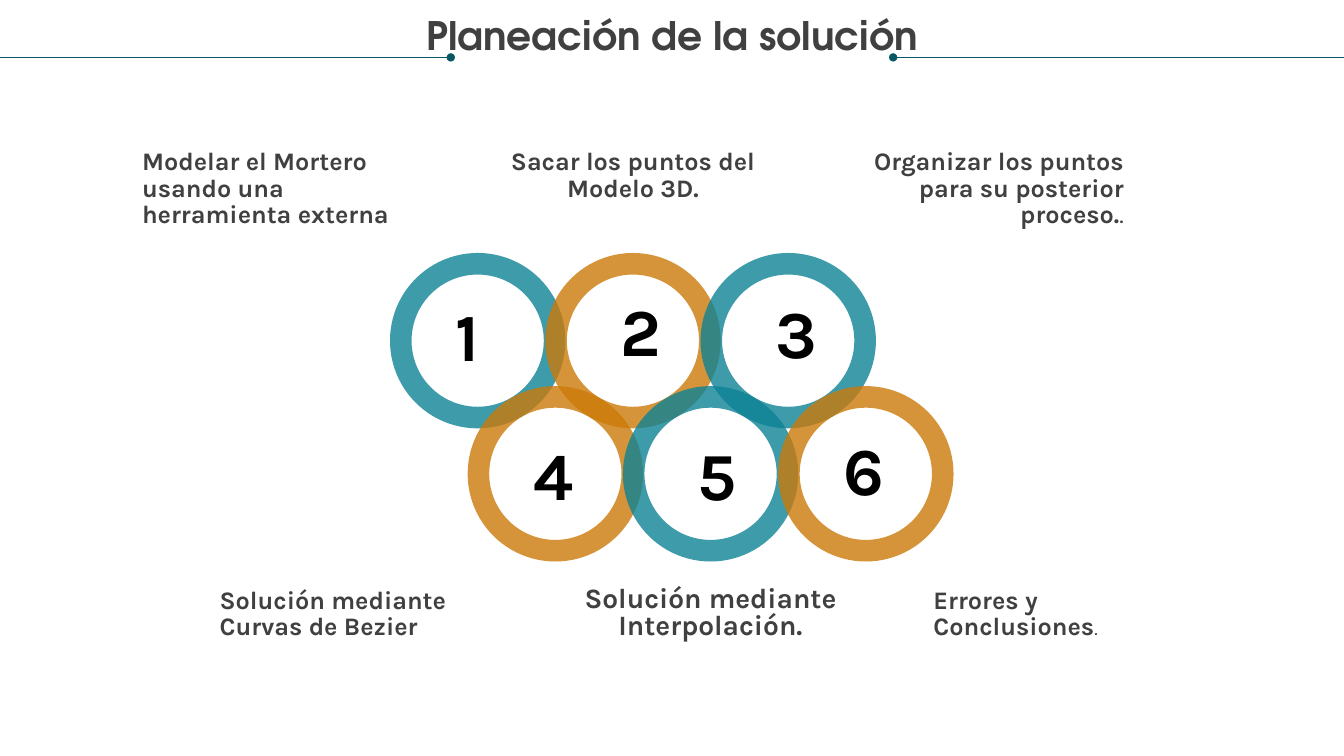
import pptx
import pptx.util
import pptx.dml.color
import pptx.enum.shapes
import pptx.enum.text
import pptx.oxml
import pptx.oxml.ns

Pt = pptx.util.Pt
ALIGN = pptx.enum.text.PP_ALIGN
LEFT, CENTER, RIGHT = ALIGN.LEFT, ALIGN.CENTER, ALIGN.RIGHT
WIDTH, HEIGHT = 960, 540
TEAL, ORANGE, LINE, GREY, BLACK = "0D8295", "CB7A09", "085764", "404040", "000000"
RING_SIZE, RING_PITCH = 125.3, 110.9
LABEL_WIDTH, LABEL_PITCH = 191.5, 254.9
ROW_SHIFT = RING_PITCH / 2


def rgb(color):
    return pptx.dml.color.RGBColor.from_string(color)


def add_element(parent, tag, **attributes):
    child = pptx.oxml.parse_xml(f"<a:{tag} {pptx.oxml.ns.nsdecls('a')}/>")
    for name, value in attributes.items():
        child.set(name, value)
    parent.append(child)


def add_text(slide, box, runs, font="Karla", color=GREY, align=LEFT,
             spacing=None, inset=True, wrap=True):
    """Place one paragraph; each run is (text, size, bold)."""
    tf = slide.shapes.add_textbox(*map(Pt, box)).text_frame
    tf.word_wrap = wrap
    tf.auto_size = pptx.enum.text.MSO_AUTO_SIZE.SHAPE_TO_FIT_TEXT
    if not inset:
        tf.margin_left = tf.margin_right = tf.margin_top = tf.margin_bottom = 0
    p = tf.paragraphs[0]
    p.alignment = align
    p.line_spacing = spacing
    for text, size, bold in runs:
        r = p.add_run()
        r.text = text
        r.font.name = font
        r.font.size = Pt(size)
        r.font.bold = bold
        r.font.color.rgb = rgb(color)


def add_header(slide, left, top, width):
    """Title between two rules that end in dots."""
    rule_y, rule_length = top + 41, 322
    right = left + width
    for inner, outer in ((left + rule_length, left), (right - rule_length, right)):
        rule = slide.shapes.add_connector(
            pptx.enum.shapes.MSO_CONNECTOR.STRAIGHT,
            Pt(inner), Pt(rule_y), Pt(outer), Pt(rule_y))
        rule.line.color.rgb = rgb(LINE)
        rule.line.width = Pt(0.5)
        add_element(rule.line._get_or_add_ln(), "headEnd", type="oval")
        add_element(rule._element.spPr, "effectLst")
    add_text(slide, (left + 18, top + 12.2, width - 36, 30.2),
             [("Planeación de la solución", 28, True)],
             font="TeX Gyre Adventor", align=CENTER, spacing=0.9, inset=False)


def add_ring_row(slide, left, top, colors):
    for i, color in enumerate(colors):
        ring = slide.shapes.add_shape(
            pptx.enum.shapes.MSO_SHAPE.DONUT, Pt(left + i * RING_PITCH), Pt(top),
            Pt(RING_SIZE), Pt(RING_SIZE))
        ring.adjustments[0] = 0.123
        ring.shadow.inherit = False
        ring.fill.solid()
        ring.fill.fore_color.rgb = rgb(color)
        add_element(ring.fill._xPr.solidFill[0], "alpha", val="80000")
        ring.line.fill.background()


def add_number_row(slide, left, top, numbers):
    """Each number is (text, dx, dy, width), offset from its ring's corner."""
    for i, (text, dx, dy, width) in enumerate(numbers):
        add_text(slide, (left + i * RING_PITCH + dx, top + dy, width, 65.5),
                 [(text, 48, True)], color=BLACK, wrap=False)


def add_label_row(slide, left, top, labels):
    """Each label is (alignment, height, runs)."""
    for i, (align, height, runs) in enumerate(labels):
        add_text(slide, (left + i * LABEL_PITCH, top, LABEL_WIDTH, height), runs,
                 align=align, spacing=Pt(19), inset=False)


def build_plan_slide(prs):
    slide = prs.slides.add_slide(prs.slide_layouts[6])
    add_header(slide, 0, 0, WIDTH)

    ring_left, upper, lower = 278.6, 180.7, 275.8
    add_ring_row(slide, ring_left, upper, (TEAL, ORANGE, TEAL))
    add_ring_row(slide, ring_left + ROW_SHIFT, lower, (ORANGE, TEAL, ORANGE))

    label_left = 101.5
    add_label_row(slide, label_left, 106.6, (
        (LEFT, 57, [("Modelar el Mortero usando una herramienta externa", 18, True)]),
        (CENTER, 38, [("Sacar los puntos del Modelo 3D.", 18, True)]),
        (RIGHT, 57, [("Organizar los puntos para su posterior proceso.", 18, True),
                     (".", 18, False)]),
    ))
    add_label_row(slide, label_left + ROW_SHIFT, 419.8, (
        (LEFT, 38, [("Solución mediante Curvas de Bezier", 18, True)]),
        (CENTER, 38, [("Solución mediante Interpolación.", 20, True)]),
        (LEFT, 38, [("Errores y Conclusiones", 18, True), (".", 14, False)]),
    ))

    add_number_row(slide, ring_left, upper, (
        ("1", 39.6, 25.9, 31.7), ("2", 46.8, 22.3, 39.6), ("3", 46.8, 23.8, 39.6)))
    add_number_row(slide, ring_left + ROW_SHIFT, lower, (
        ("4", 39.6, 30.2, 40.3), ("5", 46.1, 30.2, 39.6), ("6", 39.6, 26.6, 39.6)))


def main():
    prs = pptx.Presentation()
    prs.slide_width, prs.slide_height = Pt(WIDTH), Pt(HEIGHT)
    build_plan_slide(prs)
    prs.save("out.pptx")


if __name__ == "__main__":
    main()
